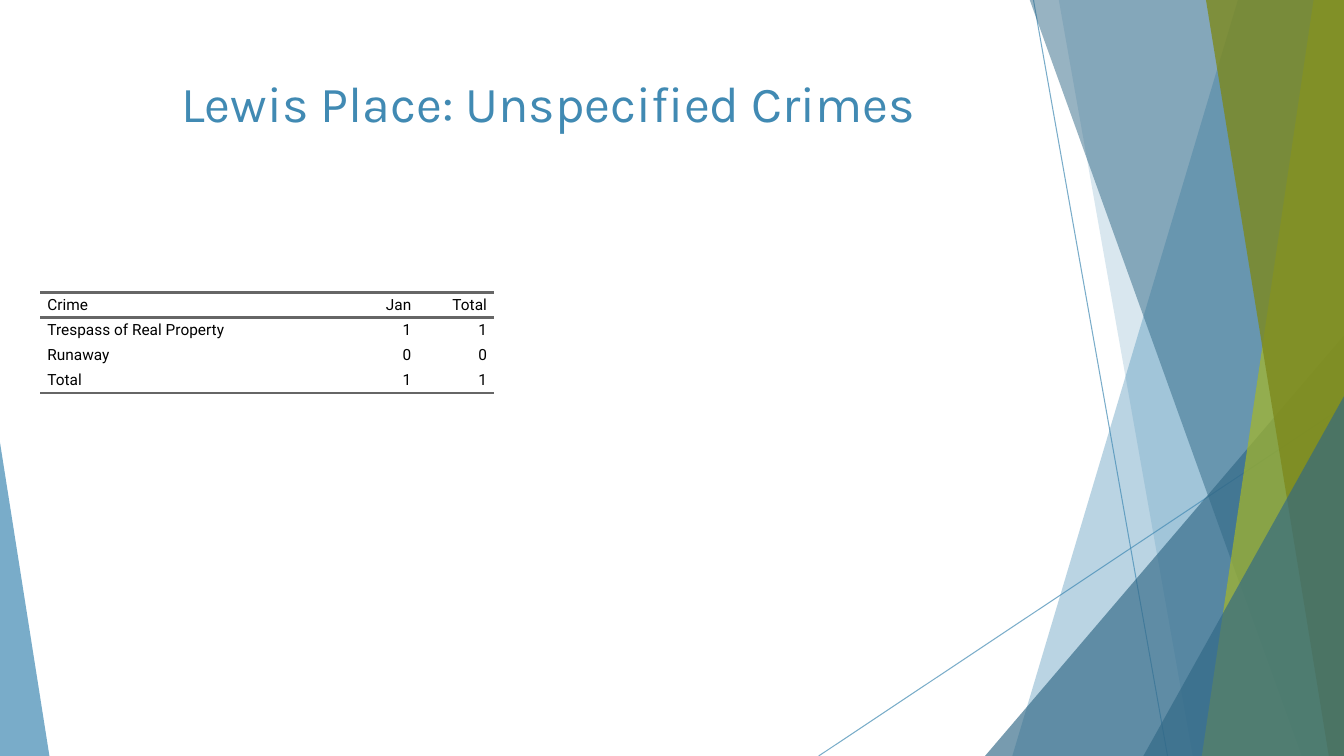
import collections

import lxml.etree
import pptx
import pptx.dml.color
import pptx.enum.shapes
import pptx.enum.text
import pptx.oxml
import pptx.oxml.ns
import pptx.util

Inches = pptx.util.Inches
Pt = pptx.util.Pt
RGBColor = pptx.dml.color.RGBColor
PP_ALIGN = pptx.enum.text.PP_ALIGN
MSO_ANCHOR = pptx.enum.text.MSO_ANCHOR
qn = pptx.oxml.ns.qn

BLUE = RGBColor(0x41, 0x8A, 0xB3)
DARK_BLUE = RGBColor(0x31, 0x68, 0x86)
LIME = RGBColor(0xA6, 0xB7, 0x27)
OLIVE = RGBColor(0x7D, 0x89, 0x1D)
GRAY = RGBColor(0x66, 0x66, 0x66)
BLACK = RGBColor(0, 0, 0)
PLAIN_TABLE_STYLE = "{2D5ABB26-0587-4C30-8999-92F81FD0307C}"

Box = collections.namedtuple("Box", "left top width height")
PAGE = Box(0, 0, 13.33, 7.5)

CRIMES = [
    ["Crime", "Jan", "Total"],
    ["Trespass of Real Property", "1", "1"],
    ["Runaway", "0", "0"],
    ["Total", "1", "1"],
]
COLUMN_SHARES = [3, 0.75, 0.75]


def set_opacity(color_format_parent, percent):
    for color in color_format_parent.iter(qn("a:srgbClr")):
        alpha = lxml.etree.SubElement(color, qn("a:alpha"))
        alpha.set("val", str(percent * 1000))


def paint(shape, color, percent):
    shape.shadow.inherit = False
    shape.fill.solid()
    shape.fill.fore_color.rgb = color
    set_opacity(shape._element.spPr, percent)
    shape.line.fill.background()


def add_thin_line(slide, start, end):
    line = slide.shapes.add_connector(
        pptx.enum.shapes.MSO_CONNECTOR.STRAIGHT,
        *[Inches(value) for value in start + end])
    line.line.color.rgb = BLUE
    line.line.width = Pt(0.75)
    set_opacity(line._element.spPr, 70)
    lxml.etree.SubElement(line._element.spPr, qn("a:effectLst"))


def add_band(slide, box, top_inset, bottom_inset, color, percent):
    """Fill from a slanted left edge to the right side of the box."""
    right, bottom = box.left + box.width, box.top + box.height
    top = box.top - 0.01
    corners = [(right - top_inset, top), (right, top),
               (right, bottom), (right - bottom_inset, bottom)]
    points = [(Inches(x), Inches(y)) for x, y in corners]
    builder = slide.shapes.build_freeform(*points[0])
    builder.add_line_segments(points[1:], close=True)
    paint(builder.convert_to_shape(), color, percent)


def add_corner(slide, box, width, height, apex, color, percent):
    """Right triangle in a bottom corner: apex 0 is left, 1 is right."""
    triangle = slide.shapes.add_shape(
        pptx.enum.shapes.MSO_SHAPE.ISOSCELES_TRIANGLE,
        Inches(box.left + apex * (box.width - width)),
        Inches(box.top + box.height - height),
        Inches(width), Inches(height))
    triangle.adjustments[0] = apex
    paint(triangle, color, percent)


def add_facets(slide, box):
    right, bottom = box.left + box.width, box.top + box.height
    add_thin_line(slide, (right - 3.08, box.top), (right - 1.75, bottom))
    add_thin_line(slide, (right, box.top + 4.03), (right - 5.21, bottom))
    add_band(slide, box, 1.05, 3.29, BLUE, 36)
    add_band(slide, box, 2.83, 1.5, BLUE, 20)
    add_corner(slide, box, 3.56, 4.17, 1, DARK_BLUE, 66)
    add_band(slide, box, 3.12, 0.42, DARK_BLUE, 50)
    add_band(slide, box, 0.3, 1.41, LIME, 70)
    add_band(slide, box, 1.37, 0.15, OLIVE, 80)
    add_corner(slide, box, 1.99, 3.57, 1, DARK_BLUE, 66)
    add_corner(slide, box, 0.49, 3.11, 0, BLUE, 70)


def write(para, text, font_name, size, color):
    span = para.add_run()
    span.text = text
    span.font.name = font_name
    span.font.size = Pt(size)
    span.font.color.rgb = color


def add_title(slide, box, text):
    title = slide.shapes.title
    title.left, title.top, title.width, title.height = map(Inches, box)
    title.text_frame.word_wrap = True
    title.text_frame.vertical_anchor = MSO_ANCHOR.TOP
    para = title.text_frame.paragraphs[0]
    para.alignment = PP_ALIGN.CENTER
    write(para, text, "Karla", 36, BLUE)


def set_cell_borders(cell, ruled_sides):
    properties = cell._tc.get_or_add_tcPr()
    for index, side in enumerate(["lnL", "lnR", "lnT", "lnB"]):
        border = lxml.etree.Element(qn("a:" + side))
        if side in ruled_sides:
            border.set("w", str(Pt(2)))
            fill = lxml.etree.SubElement(border, qn("a:solidFill"))
            color = lxml.etree.SubElement(fill, qn("a:srgbClr"))
            color.set("val", str(GRAY))
        else:
            lxml.etree.SubElement(border, qn("a:noFill"))
        properties.insert(index, border)


def fill_cell(cell, text, alignment):
    cell.fill.background()
    cell.margin_left = cell.margin_right = 0
    cell.margin_top = cell.margin_bottom = 0
    cell.vertical_anchor = MSO_ANCHOR.MIDDLE
    para = cell.text_frame.paragraphs[0]
    para.alignment = alignment
    para.space_before = para.space_after = Pt(5)
    for margin in ("marL", "marR"):
        para._p.get_or_add_pPr().set(margin, str(Inches(0.07)))
    write(para, text, "Roboto", 11, BLACK)


def add_crime_table(slide, box, rows):
    frame = slide.shapes.add_table(
        len(rows), len(COLUMN_SHARES), *map(Inches, box))
    table = frame.table
    table.first_row = table.horz_banding = False
    table._tbl.tblPr.find(qn("a:tableStyleId")).text = PLAIN_TABLE_STYLE
    for column, share in zip(table.columns, COLUMN_SHARES):
        column.width = Inches(box.width * share / sum(COLUMN_SHARES))
    ruled_sides = {0: ["lnT", "lnB"], 1: ["lnT"], len(rows) - 1: ["lnB"]}
    for row_index, row in enumerate(rows):
        table.rows[row_index].height = Inches(box.height / len(rows))
        for column_index, text in enumerate(row):
            cell = table.cell(row_index, column_index)
            fill_cell(cell, text,
                      PP_ALIGN.RIGHT if column_index else PP_ALIGN.LEFT)
            set_cell_borders(cell, ruled_sides.get(row_index, []))


def main():
    deck = pptx.Presentation()
    deck.slide_width = Inches(PAGE.width)
    deck.slide_height = Inches(PAGE.height)
    slide = deck.slides.add_slide(deck.slide_layouts.get_by_name("Title Only"))
    add_facets(slide, PAGE)
    add_crime_table(slide, Box(0.4, 2.9, 4.5, 1), CRIMES)
    add_title(slide, Box(0.74, 0.67, 9.4, 1.44),
              "Lewis Place: Unspecified Crimes")
    deck.save("out.pptx")


if __name__ == "__main__":
    main()
